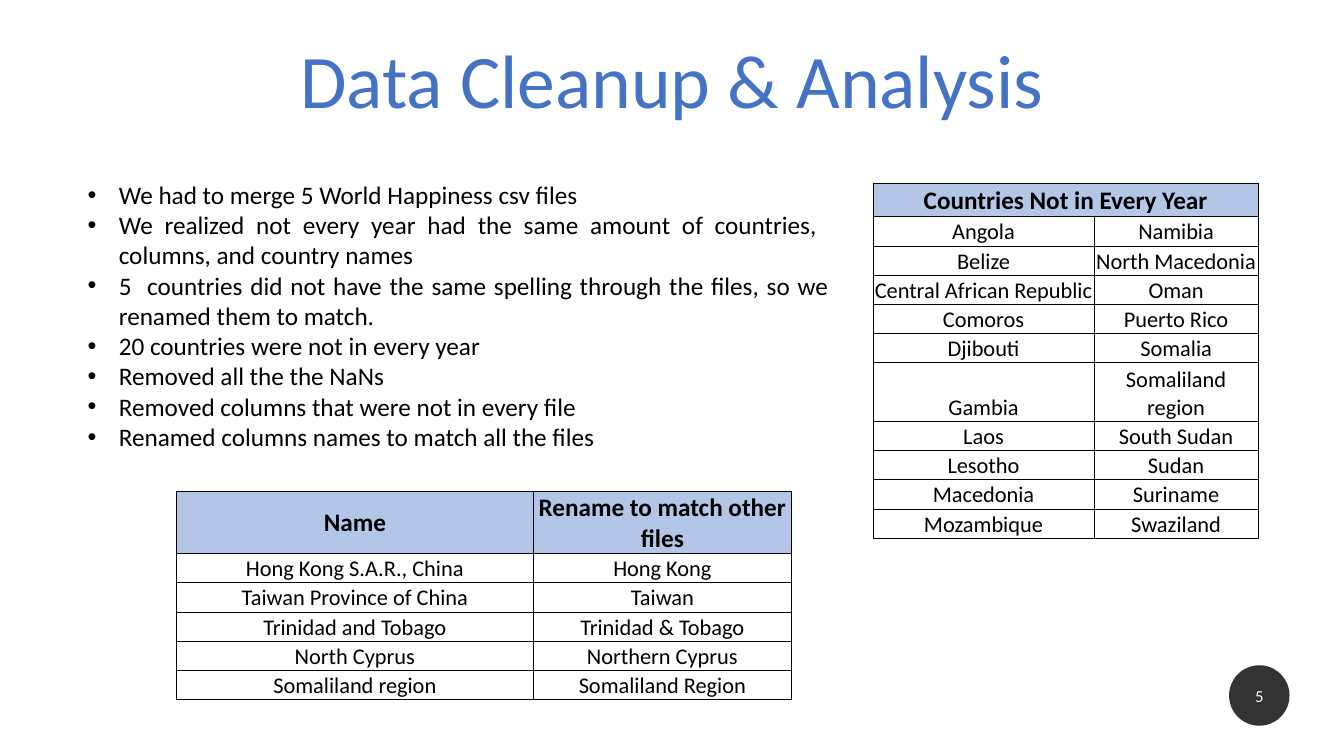
"""Build the Data Cleanup & Analysis slide."""
from lxml.etree import SubElement
from pptx import Presentation
from pptx.dml.color import RGBColor
from pptx.enum.shapes import MSO_SHAPE
from pptx.enum.text import MSO_ANCHOR, PP_ALIGN
from pptx.oxml.ns import qn
from pptx.util import Inches, Pt

BLACK = RGBColor(0x00, 0x00, 0x00)
WHITE = RGBColor(0xFF, 0xFF, 0xFF)
TITLE_BLUE = RGBColor(0x44, 0x72, 0xC4)
HEADER_BLUE = RGBColor(0xB4, 0xC6, 0xE7)

BULLETS = [
    "We had to merge 5 World Happiness csv files",
    "We realized not every year had the same amount of countries,  columns, and country names",
    "5  countries did not have the same spelling through the files, so we renamed them to match.",
    "20 countries were not in every year",
    "Removed all the the NaNs",
    "Removed columns that were not in every file",
    "Renamed columns names to match all the files",
]
RENAMED = [
    ("Name", "Rename to match other files"),
    ("Hong Kong S.A.R., China", "Hong Kong"),
    ("Taiwan Province of China", "Taiwan"),
    ("Trinidad and Tobago", "Trinidad & Tobago"),
    ("North Cyprus", "Northern Cyprus"),
    ("Somaliland region", "Somaliland Region"),
]
MISSING = [
    ("Countries Not in Every Year", ""),
    ("Angola", "Namibia"),
    ("Belize", "North Macedonia"),
    ("Central African Republic", "Oman"),
    ("Comoros", "Puerto Rico"),
    ("Djibouti", "Somalia"),
    ("Gambia", "Somaliland region"),
    ("Laos", "South Sudan"),
    ("Lesotho", "Sudan"),
    ("Macedonia", "Suriname"),
    ("Mozambique", "Swaziland"),
]


def write(p, text, size, color, align, bold=False):
    p.text = text
    p.alignment = align
    for r in p.runs:
        r.font.name = "Calibri"
        r.font.size = Pt(size)
        r.font.bold = bold
        r.font.color.rgb = color


def add_border(cell, side, width):
    ln = SubElement(cell._tc.get_or_add_tcPr(), qn(f"a:ln{side}"), w=str(Pt(width)))
    fill = SubElement(ln, qn("a:solidFill"))
    SubElement(fill, qn("a:srgbClr"), val=str(BLACK))


prs = Presentation()
prs.slide_width = Inches(13.33)
prs.slide_height = Inches(7.5)
s = prs.slides.add_slide(prs.slide_layouts[6])

title = s.shapes.add_textbox(Inches(2.84), Inches(0.28), Inches(7.65), Inches(1.01))
title.text_frame.word_wrap = False
write(title.text_frame.paragraphs[0], "Data Cleanup & Analysis", 54, TITLE_BLUE, PP_ALIGN.CENTER)

body = s.shapes.add_textbox(Inches(0.77), Inches(1.73), Inches(7.55), Inches(4.04))
tf = body.text_frame
tf.word_wrap = True
for i, bullet in enumerate(BULLETS):
    p = tf.add_paragraph() if i else tf.paragraphs[0]
    write(p, bullet, 18, BLACK, PP_ALIGN.JUSTIFY)
    pPr = p._p.get_or_add_pPr()
    pPr.set("marL", str(Inches(0.31)))
    pPr.set("indent", str(Inches(-0.31)))
    SubElement(pPr, qn("a:buFont"), typeface="Arial")
    SubElement(pPr, qn("a:buChar"), char="•")

TABLES = [
    (RENAMED, 1.75, 4.88, (3.54, 2.56), 1),
    (MISSING, 8.66, 1.82, (2.19, 1.63), 0.5),
]
for rows, left, top, widths, header_rule in TABLES:
    heights = [0.33] + [0.58 if row[0] == "Gambia" else 0.29 for row in rows[1:]]
    frame = s.shapes.add_table(len(rows), 2, Inches(left), Inches(top),
                               Inches(sum(widths)), Inches(sum(heights)))
    table = frame.table
    for column, width in zip(table.columns, widths):
        column.width = Inches(width)
    for i, row in enumerate(rows):
        table.rows[i].height = Inches(heights[i])
        header = i == 0
        for j, text in enumerate(row):
            cell = table.cell(i, j)
            cell.margin_left = cell.margin_right = cell.margin_top = Inches(0.01)
            cell.margin_bottom = 0
            middle = header and j == 0
            cell.vertical_anchor = MSO_ANCHOR.MIDDLE if middle else MSO_ANCHOR.BOTTOM
            write(cell.text_frame.paragraphs[0], text, 18 if header else 16,
                  BLACK, PP_ALIGN.CENTER, header)
            add_border(cell, "L", 1 if header and j == 0 else 0.5)
            add_border(cell, "R", 1 if header and j == 1 else 0.5)
            add_border(cell, "T", 1 if header else header_rule if i == 1 else 0.5)
            add_border(cell, "B", header_rule if header else 0.5)
            if header:
                cell.fill.solid()
                cell.fill.fore_color.rgb = HEADER_BLUE
            else:
                cell.fill.background()
    if not rows[0][1]:
        table.cell(0, 0).merge(table.cell(0, 1))

badge = s.shapes.add_shape(MSO_SHAPE.OVAL, Inches(12.19), Inches(6.6), Inches(0.6), Inches(0.6))
badge.shadow.inherit = False
badge.line.fill.background()
badge.fill.solid()
badge.fill.fore_color.rgb = BLACK
color = badge.fill._xPr.find(qn("a:solidFill")).find(qn("a:srgbClr"))
SubElement(color, qn("a:alpha"), val="80000")
badge.text_frame.vertical_anchor = MSO_ANCHOR.MIDDLE
p = badge.text_frame.paragraphs[0]
write(p, "5", 12, WHITE, PP_ALIGN.CENTER)
p.space_after = Pt(6)

prs.save("out.pptx")
